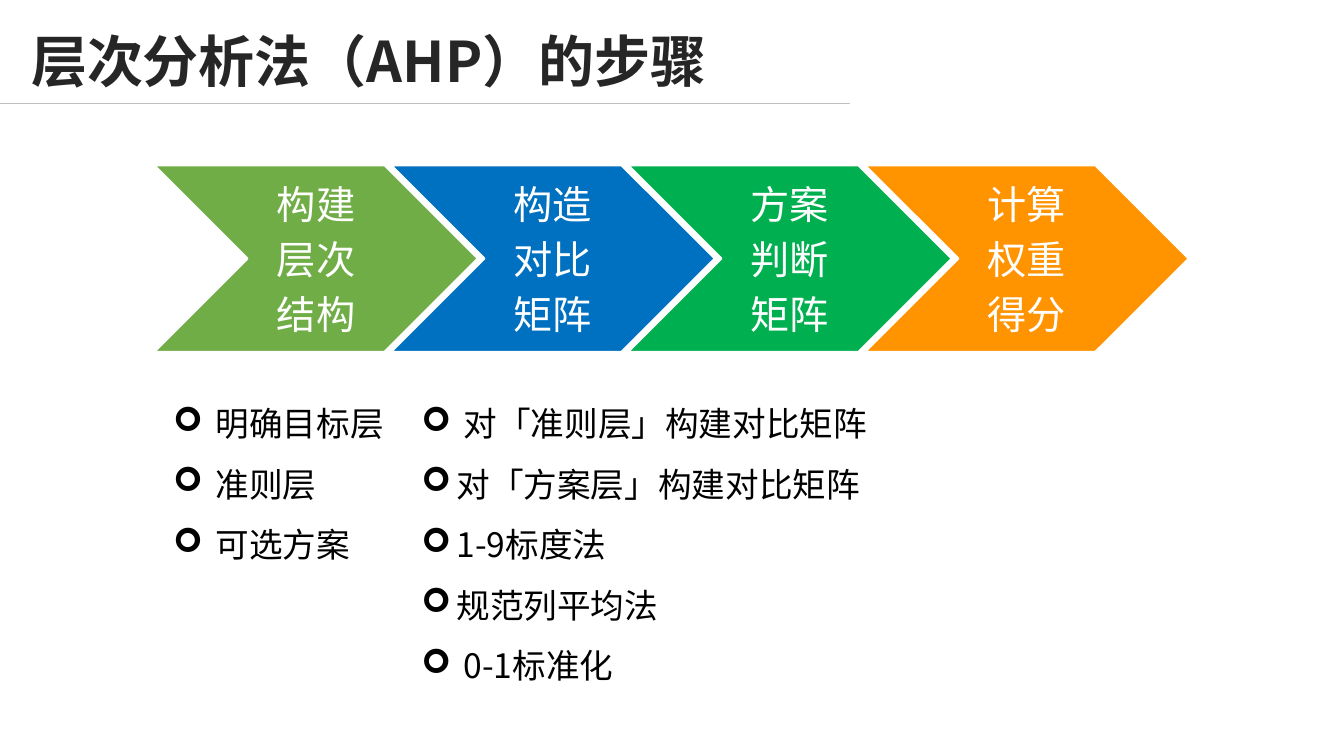
from lxml.etree import SubElement
from pptx import Presentation
from pptx.dml.color import RGBColor
from pptx.enum.shapes import MSO_CONNECTOR, MSO_SHAPE
from pptx.enum.text import MSO_ANCHOR, PP_ALIGN
from pptx.oxml.ns import qn
from pptx.util import Inches, Pt

FONT = "Noto Sans CJK SC"
WHITE = RGBColor(0xFF, 0xFF, 0xFF)
BLACK = RGBColor(0x00, 0x00, 0x00)
TITLE_COLOR = RGBColor(0x26, 0x26, 0x26)
RULE_COLOR = RGBColor(0xBF, 0xBF, 0xBF)

STEPS = [
    (["构建", "层次", "结构"], RGBColor(0x70, 0xAD, 0x47)),
    (["构造", "对比", "矩阵"], RGBColor(0x00, 0x70, 0xC0)),
    (["方案", "判断", "矩阵"], RGBColor(0x00, 0xB0, 0x50)),
    (["计算", "权重", "得分"], RGBColor(0xFF, 0x93, 0x00)),
]
STEP_LEFT, STEP_PITCH = 1.53, 2.35

NARROW, WIDE = 0.35, 0.42
HIERARCHY_ITEMS = [("明确目标层", WIDE), ("准则层", WIDE), ("可选方案", WIDE)]
MATRIX_ITEMS = [
    ("对「准则层」构建对比矩阵", WIDE),
    ("对「方案层」构建对比矩阵", NARROW),
    ("1-9标度法", NARROW),
    ("规范列平均法", NARROW),
    ("0-1标准化", WIDE),
]


def add_paragraph(text_frame, index, text, size, color, line_spacing):
    paragraph = text_frame.add_paragraph() if index else text_frame.paragraphs[0]
    run = paragraph.add_run()
    run.text = text
    paragraph.line_spacing = Pt(line_spacing)
    paragraph.font.size = Pt(size)
    paragraph.font.name = FONT
    paragraph.font.color.rgb = color
    # East Asian characters take their typeface from a:ea
    SubElement(run.font._element, qn("a:ea"), typeface=FONT)
    return paragraph


def add_text_frame(slide, left, top, width, height):
    text_box = slide.shapes.add_textbox(
        Inches(left), Inches(top), Inches(width), Inches(height))
    text_box.text_frame.word_wrap = True
    return text_box.text_frame


def add_title(slide, text):
    text_frame = add_text_frame(slide, 0.21, 0.24, 11.91, 0.77)
    paragraph = add_paragraph(text_frame, 0, text, 40, TITLE_COLOR, 46)
    paragraph.font.bold = True


def add_title_rule(slide):
    rule = slide.shapes.add_connector(
        MSO_CONNECTOR.STRAIGHT, Inches(0), Inches(1.03), Inches(8.43), Inches(1.03))
    rule.line.color.rgb = RULE_COLOR
    rule.line.width = Pt(0.5)
    SubElement(rule._element.spPr, qn("a:effectLst"))


def add_step(slide, left, lines, color):
    chevron = slide.shapes.add_shape(
        MSO_SHAPE.CHEVRON, Inches(left), Inches(1.64), Inches(3.21), Inches(1.85))
    chevron.shadow.inherit = False
    chevron.fill.solid()
    chevron.fill.fore_color.rgb = color
    chevron.line.color.rgb = WHITE
    chevron.line.width = Pt(1.5)
    text_frame = chevron.text_frame
    text_frame.word_wrap = True
    text_frame.vertical_anchor = MSO_ANCHOR.MIDDLE
    for index, line in enumerate(lines):
        paragraph = add_paragraph(text_frame, index, line, 28, WHITE, 33.6)
        paragraph.alignment = PP_ALIGN.CENTER
        paragraph.space_before = Pt(5.6)


def add_bullet_list(slide, left, width, items):
    """Add a list of (text, hanging indent in inches) items."""
    text_frame = add_text_frame(slide, left, 3.75, width, 2.65)
    for index, (text, indent) in enumerate(items):
        paragraph = add_paragraph(text_frame, index, text, 24, BLACK, 43.2)
        properties = paragraph._p.get_or_add_pPr()
        properties.set("marL", str(Inches(indent)))
        properties.set("indent", str(-Inches(indent)))
        bullet = SubElement(properties, qn("a:buChar"), char="➢")
        bullet.addprevious(properties.makeelement(
            qn("a:buFont"), {"typeface": "Wingdings"}))
        # Bullet elements must come before the default run properties
        properties.append(properties.find(qn("a:defRPr")))


def main():
    presentation = Presentation()
    presentation.slide_width = Inches(13.33)
    presentation.slide_height = Inches(7.5)
    slide = presentation.slides.add_slide(presentation.slide_layouts[6])

    add_title_rule(slide)
    add_title(slide, "层次分析法（AHP）的步骤")
    for index, (lines, color) in enumerate(STEPS):
        add_step(slide, STEP_LEFT + index * STEP_PITCH, lines, color)
    add_bullet_list(slide, 1.62, 3.04, HIERARCHY_ITEMS)
    add_bullet_list(slide, 4.08, 5.61, MATRIX_ITEMS)

    presentation.save("out.pptx")


if __name__ == "__main__":
    main()
